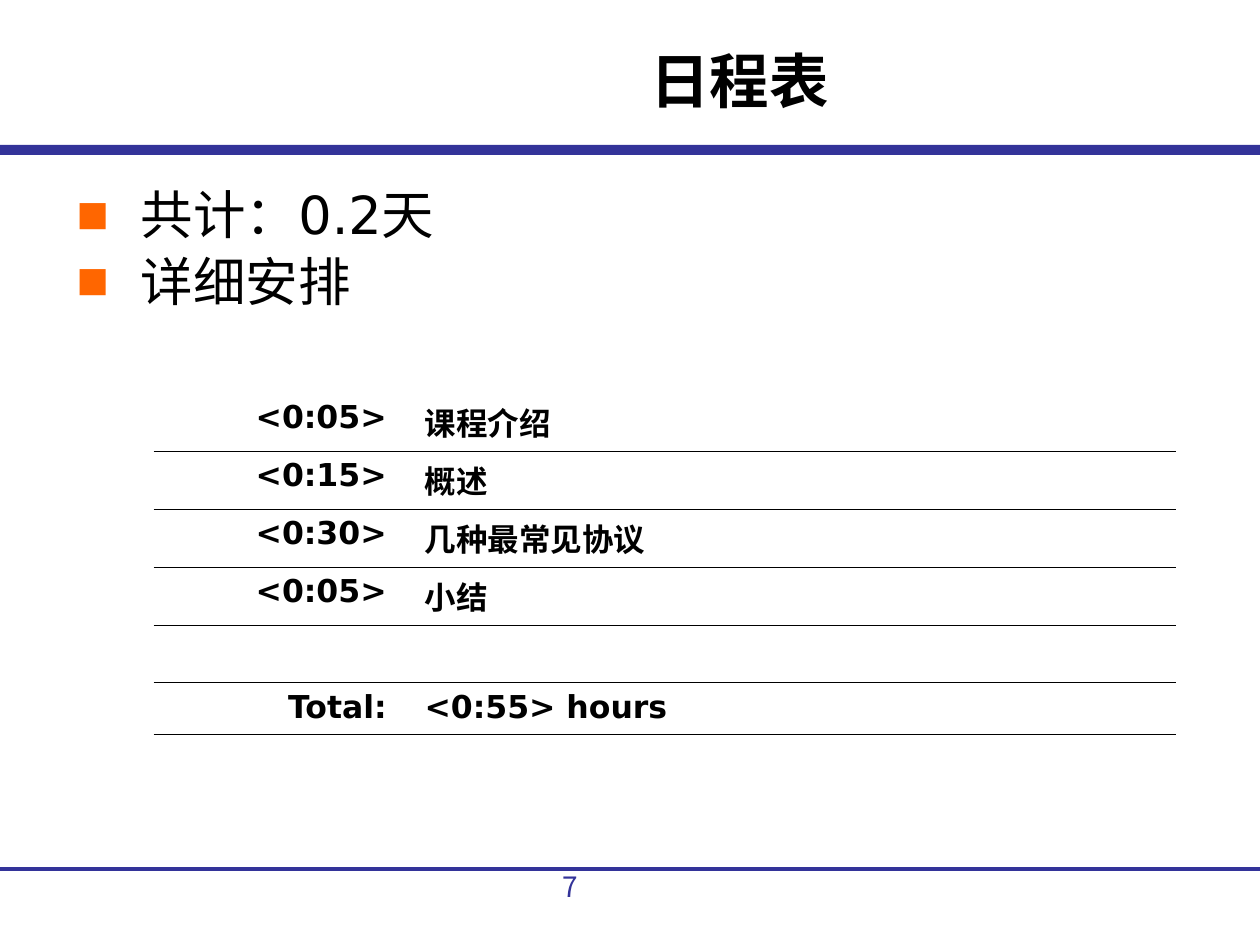
from lxml.etree import SubElement
from pptx import Presentation
from pptx.dml.color import RGBColor
from pptx.enum.shapes import MSO_CONNECTOR as Connector, MSO_SHAPE as Shape
from pptx.enum.text import MSO_ANCHOR as Anchor, PP_ALIGN as Align
from pptx.oxml import parse_xml
from pptx.oxml.ns import nsdecls, qn
from pptx.util import Inches, Pt

NAVY = RGBColor(0x33, 0x33, 0x99)
ORANGE = RGBColor(0xFF, 0x66, 0x00)
BLACK = RGBColor(0, 0, 0)
LATIN_FONT = "DejaVu Sans"
CJK_FONT = "Noto Sans CJK SC"

TOPICS = ["共计：0.2天", "详细安排"]
SCHEDULE = [
    ("<0:05>", "课程介绍"),
    ("<0:15>", "概述"),
    ("<0:30>", "几种最常见协议"),
    ("<0:05>", "小结"),
    ("", ""),
    ("Total:", "<0:55> hours"),
]


def add_run(paragraph, text, size, color=BLACK, bold=False, font=LATIN_FONT):
    run = paragraph.add_run()
    run.text = text
    run.font.size = Pt(size)
    run.font.bold = bold
    run.font.color.rgb = color
    run.font.name = font
    SubElement(run.font._element, qn("a:ea"), typeface=CJK_FONT)


def add_text_box(slide, left, top, width, height):
    box = slide.shapes.add_textbox(
        Inches(left), Inches(top), Inches(width), Inches(height))
    box.text_frame.word_wrap = True
    return box.text_frame


def add_rules(slide):
    band = slide.shapes.add_shape(
        Shape.RECTANGLE, 0, Inches(1.15), Inches(10), Inches(0.08))
    band.shadow.inherit = False
    band.fill.solid()
    band.fill.fore_color.rgb = NAVY
    band.line.fill.background()

    line = slide.shapes.add_connector(
        Connector.STRAIGHT, 0, Inches(6.9), Inches(10), Inches(6.9))
    line.line.color.rgb = NAVY
    line.line.width = Pt(2.25)
    SubElement(line._element.spPr, qn("a:effectLst"))


def add_bullet(paragraph):
    properties = paragraph._p.get_or_add_pPr()
    properties.set("marL", str(Inches(0.51)))
    properties.set("indent", str(-Inches(0.51)))
    color = SubElement(properties, qn("a:buClr"))
    SubElement(color, qn("a:srgbClr"), val=str(ORANGE))
    SubElement(properties, qn("a:buSzPct"), val="65000")
    SubElement(properties, qn("a:buFont"), typeface=LATIN_FONT)
    SubElement(properties, qn("a:buChar"), char="■")


def add_topics(slide):
    frame = add_text_box(slide, 0.51, 1.47, 8.75, 5.12)
    for index, topic in enumerate(TOPICS):
        paragraph = frame.add_paragraph() if index else frame.paragraphs[0]
        paragraph.space_before = Pt(7.5)
        paragraph.line_spacing = 0.85
        add_bullet(paragraph)
        add_run(paragraph, topic, 30)


def set_borders(cell, visible_sides):
    properties = cell._tc.get_or_add_tcPr()
    for position, side in enumerate("LRTB"):
        if side in visible_sides:
            paint = f'<a:solidFill><a:srgbClr val="{BLACK}"/></a:solidFill>'
        else:
            paint = "<a:noFill/>"
        border = parse_xml(
            f'<a:ln{side} {nsdecls("a")} w="{Pt(0.45)}">{paint}</a:ln{side}>')
        properties.insert(position, border)


def fill_cell(cell, text, align):
    cell.fill.background()
    cell.margin_right = Inches(0.2)
    paragraph = cell.text_frame.paragraphs[0]
    paragraph.alignment = align
    paragraph.space_before = Pt(4.5)
    if text:
        add_run(paragraph, text, 18, bold=True)


def add_schedule(slide):
    frame = slide.shapes.add_table(
        len(SCHEDULE), 2, Inches(1.22), Inches(3.12), Inches(8.11), Inches(2.71))
    table = frame.table
    table.first_row = table.horz_banding = False
    for column, width in zip(table.columns, (2.05, 6.06)):
        column.width = Inches(width)
    last = len(SCHEDULE) - 1
    for row_index, texts in enumerate(SCHEDULE):
        table.rows[row_index].height = Inches(0.41 if row_index == last else 0.46)
        for column_index, text in enumerate(texts):
            cell = table.cell(row_index, column_index)
            fill_cell(cell, text, Align.LEFT if column_index else Align.RIGHT)
            set_borders(cell, "TB" if row_index else "B")


def add_title(slide):
    frame = add_text_box(slide, 2.01, 0.28, 7.72, 0.71)
    frame.vertical_anchor = Anchor.MIDDLE
    paragraph = frame.paragraphs[0]
    paragraph.alignment = Align.CENTER
    add_run(paragraph, "日程表", 34, bold=True)


def add_page_number(slide):
    frame = add_text_box(slide, 4.37, 6.85, 1.1, 0.52)
    add_run(frame.paragraphs[0], "7", 16, NAVY, font=CJK_FONT)


def main():
    presentation = Presentation()
    presentation.slide_width = Inches(10)
    presentation.slide_height = Inches(7.5)
    slide = presentation.slides.add_slide(presentation.slide_layouts[6])
    add_rules(slide)
    add_topics(slide)
    add_schedule(slide)
    add_title(slide)
    add_page_number(slide)
    presentation.save("out.pptx")


if __name__ == "__main__":
    main()
